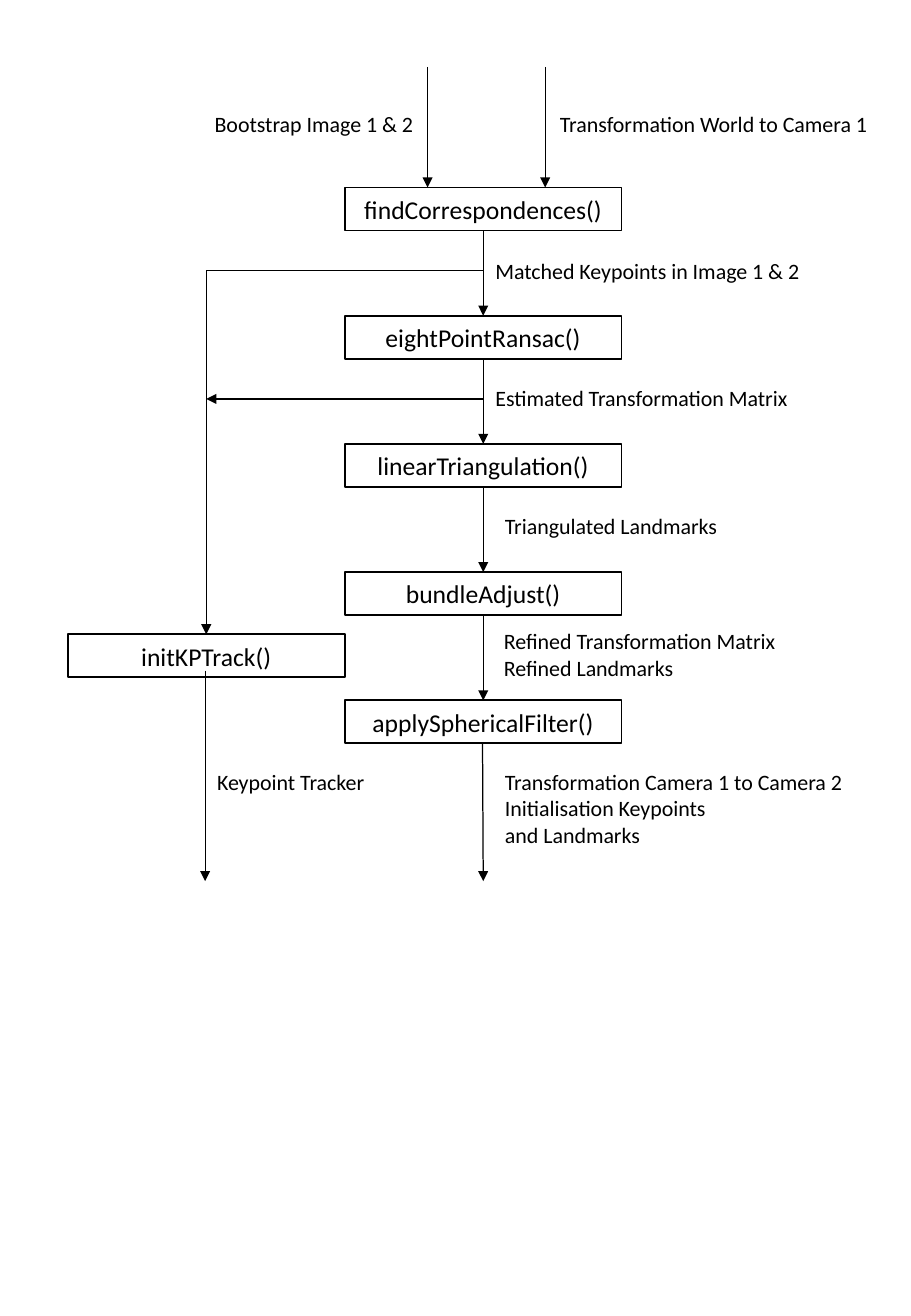
from dataclasses import dataclass
from typing import Any

from lxml import etree
from pptx import Presentation
from pptx.dml.color import RGBColor
from pptx.enum.shapes import MSO_CONNECTOR, MSO_SHAPE
from pptx.enum.text import MSO_ANCHOR, MSO_AUTO_SIZE, PP_ALIGN
from pptx.oxml.ns import qn
from pptx.util import Cm, Pt

BLACK = RGBColor(0, 0, 0)
RECTANGLE = MSO_SHAPE.RECTANGLE
STRAIGHT, ELBOW = MSO_CONNECTOR.STRAIGHT, MSO_CONNECTOR.ELBOW
LEFT, CENTER, RIGHT = PP_ALIGN.LEFT, PP_ALIGN.CENTER, PP_ALIGN.RIGHT

STEP_FORMAT = {
    "word_wrap": True, "vertical_anchor": MSO_ANCHOR.MIDDLE,
    "margin_left": Cm(0.36), "margin_right": Cm(0.36),
    "margin_top": Cm(0.18), "margin_bottom": Cm(0.18),
}
LABEL_FORMAT = {"word_wrap": False, "auto_size": MSO_AUTO_SIZE.SHAPE_TO_FIT_TEXT}
STEP_FONT = {"name": "Calibri", "size": Pt(15.2)}
LABEL_FONT = {"name": "Calibri", "size": Pt(13)}

BOX_WIDTH, BOX_HEIGHT = 5.79, 0.9
MAIN_LEFT, MAIN_TOP, PITCH = 7.21, 3.92, 2.68
TRACK_LEFT, TRACK_TOP = 1.42, 13.26
MAIN_X = MAIN_LEFT + BOX_WIDTH / 2
TRACK_X = TRACK_LEFT + BOX_WIDTH / 2
INPUT_TOP, OUTPUT_BOTTOM = 1.4, 18.42
BRANCH_Y = MAIN_TOP + BOX_HEIGHT + 0.84
LABEL_HEIGHT, LINE_HEIGHT = 0.81, 0.56


@dataclass
class Step:
    name: str
    left: float
    top: float


@dataclass
class Label:
    lines: list[str]
    left: float
    top: float
    width: float
    alignment: Any = LEFT


@dataclass
class Arrow:
    start_x: float
    start_y: float
    end_x: float
    end_y: float
    bent: bool = False


def apply_format(target: Any, values: dict[str, Any]) -> None:
    for attribute, value in values.items():
        setattr(target, attribute, value)


def write_lines(shape: Any, lines: list[str], alignment: Any, font: dict[str, Any]) -> None:
    text_frame = shape.text_frame
    text_frame.text = "\n".join(lines)
    for paragraph in text_frame.paragraphs:
        paragraph.alignment = alignment
        for run in paragraph.runs:
            apply_format(run.font, font)
            run.font.color.rgb = BLACK


def draw_step(slide: Any, step: Step) -> None:
    shape = slide.shapes.add_shape(
        RECTANGLE, Cm(step.left), Cm(step.top), Cm(BOX_WIDTH), Cm(BOX_HEIGHT))
    shape.shadow.inherit = False
    shape.fill.background()
    shape.line.color.rgb = BLACK
    shape.line.width = Pt(1)
    apply_format(shape.text_frame, STEP_FORMAT)
    write_lines(shape, [step.name], CENTER, STEP_FONT)


def draw_label(slide: Any, label: Label) -> None:
    height = LABEL_HEIGHT + LINE_HEIGHT * (len(label.lines) - 1)
    shape = slide.shapes.add_textbox(
        Cm(label.left), Cm(label.top), Cm(label.width), Cm(height))
    apply_format(shape.text_frame, LABEL_FORMAT)
    write_lines(shape, label.lines, label.alignment, LABEL_FONT)


def draw_arrow(slide: Any, arrow: Arrow) -> None:
    connector = slide.shapes.add_connector(
        ELBOW if arrow.bent else STRAIGHT,
        Cm(arrow.start_x), Cm(arrow.start_y), Cm(arrow.end_x), Cm(arrow.end_y))
    connector.line.color.rgb = BLACK
    connector.line.width = Pt(0.75)
    properties = connector._element.spPr
    if arrow.bent:
        properties.find(qn("a:prstGeom")).set("prst", "bentConnector2")
    etree.SubElement(properties.find(qn("a:ln")), qn("a:tailEnd"), type="triangle")
    etree.SubElement(properties, qn("a:effectLst"))


STEP_NAMES = ["findCorrespondences()", "eightPointRansac()", "linearTriangulation()",
              "bundleAdjust()", "applySphericalFilter()"]
main_steps = [Step(name, MAIN_LEFT, MAIN_TOP + index * PITCH)
              for index, name in enumerate(STEP_NAMES)]
track_step = Step("initKPTrack()", TRACK_LEFT, TRACK_TOP)

input_arrows = [Arrow(x, INPUT_TOP, x, MAIN_TOP) for x in (8.94, 11.4)]
flow_arrows = [Arrow(MAIN_X, upper.top + BOX_HEIGHT, MAIN_X, lower.top)
               for upper, lower in zip(main_steps, main_steps[1:])]
branch_arrows = [
    Arrow(MAIN_X, BRANCH_Y, TRACK_X, TRACK_TOP, bent=True),
    Arrow(MAIN_X, BRANCH_Y + PITCH, TRACK_X, BRANCH_Y + PITCH),
]
output_arrows = [
    Arrow(10.09, main_steps[-1].top + BOX_HEIGHT, MAIN_X, OUTPUT_BOTTOM),
    Arrow(4.29, 14.02, 4.29, OUTPUT_BOTTOM),
]

labels = [
    Label(["Bootstrap Image 1 & 2 "], 4.14, 2.18, 4.85, RIGHT),
    Label(["Transformation World to Camera 1"], 11.46, 2.18, 7.04),
    Label(["Matched Keypoints in Image 1 & 2"], 10.11, 5.26, 6.99),
    Label(["Estimated Transformation Matrix"], 10.11, 7.92, 6.73),
    Label(["Triangulated Landmarks"], 10.31, 10.59, 5.03),
    Label(["Refined Transformation Matrix", "Refined Landmarks"], 10.29, 13, 6.27),
    Label(["Transformation Camera 1 to Camera 2", "Initialisation Keypoints",
           "and Landmarks"], 10.31, 15.94, 7.67),
    Label(["Keypoint Tracker"], 4.29, 15.94, 3.63),
]

presentation = Presentation()
presentation.slide_width, presentation.slide_height = Cm(19.05), Cm(27.51)
slide = presentation.slides.add_slide(presentation.slide_layouts.get_by_name("Blank"))

for step in [*main_steps, track_step]:
    draw_step(slide, step)
for arrow in input_arrows + flow_arrows + branch_arrows + output_arrows:
    draw_arrow(slide, arrow)
for label in labels:
    draw_label(slide, label)

presentation.save("out.pptx")
